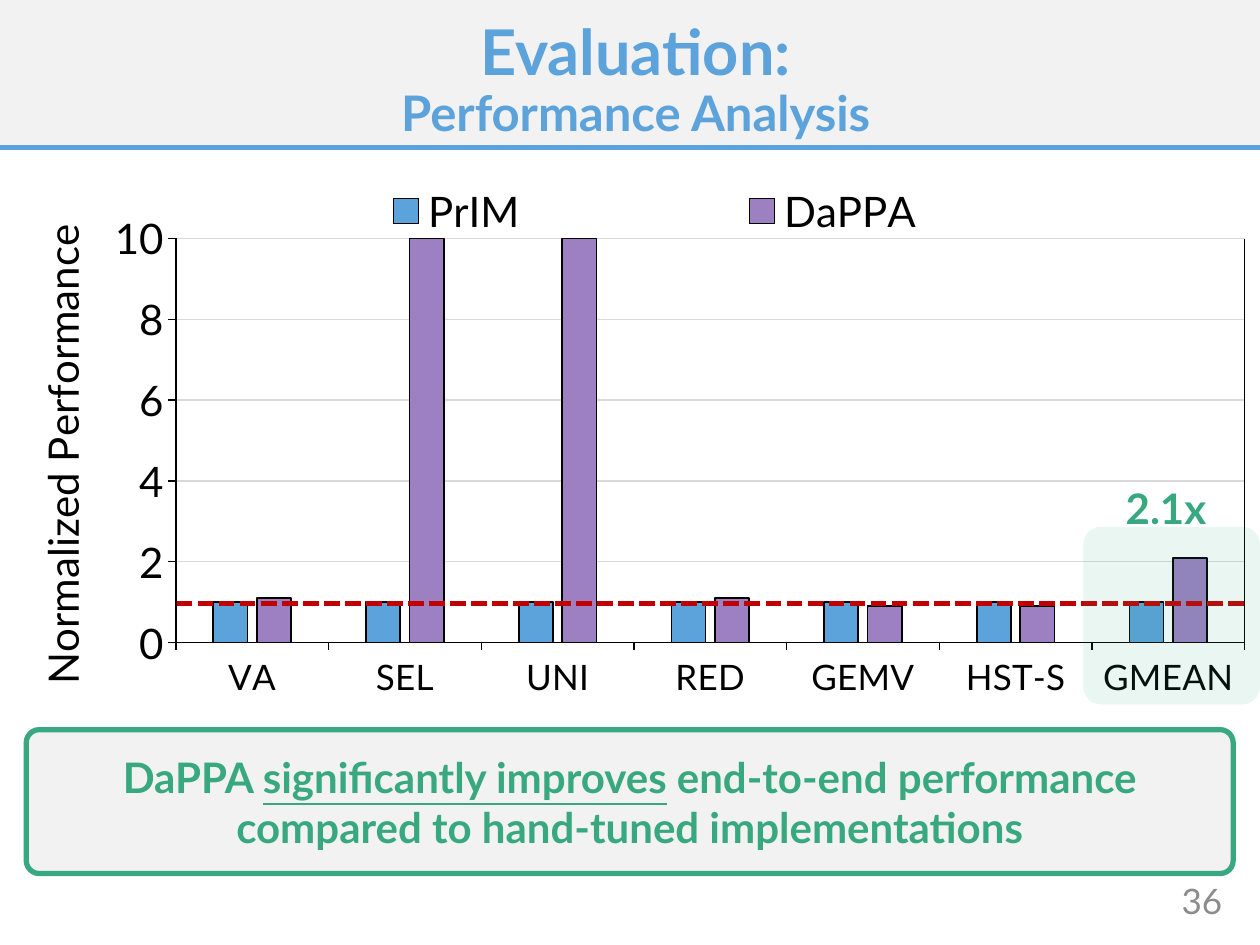
from pptx import Presentation
from pptx import util as u
from pptx.chart.data import CategoryChartData
from pptx.dml.color import RGBColor
from pptx.enum import chart as charts, dml, shapes, text
from pptx.oxml import parse_xml
from pptx.oxml.ns import nsdecls, qn
from lxml import etree

FONT = "Lato"
BLUE, PURPLE, GREEN, RED = "5CA2DB", "9C80C1", "38A881", "C00000"
BLACK, PALE, GRID, GRAY = "000000", "F2F2F2", "D9D9D9", "8C8C8C"
CATEGORIES = ["VA", "SEL", "UNI", "RED", "GEMV", "HST-S", "GMEAN"]
SERIES = [
    ("PrIM", [1] * 7, BLUE),
    ("DaPPA", [1.1, 10, 10, 1.1, 0.9, 0.9, 2.1], PURPLE),
]


def color(value):
    return RGBColor.from_string(value)


def box(*lengths):
    return [u.Cm(length) for length in lengths]


def set_font(font, size, value, bold=False):
    font.name, font.size, font.bold = FONT, u.Pt(size), bold
    font.color.rgb = color(value)


def set_line(line, value, width):
    line.color.rgb = color(value)
    line.width = u.Pt(width)


def add_run(paragraph, words, size, value, bold=True, underline=None):
    run = paragraph.add_run()
    run.text = words
    set_font(run.font, size, value, bold)
    run.font.underline = underline


def add_block(slide, preset, place, fill, corner=None, alpha=None):
    """Add a filled shape without outline; alpha is opacity in percent."""
    shape = slide.shapes.add_shape(preset, *box(*place))
    shape.shadow.inherit = False
    shape.fill.solid()
    shape.fill.fore_color.rgb = color(fill)
    shape.line.fill.background()
    if corner is not None:
        shape.adjustments[0] = corner
    if alpha is not None:
        rgb = shape.fill._xPr.find(".//" + qn("a:srgbClr"))
        etree.SubElement(rgb, qn("a:alpha")).set("val", str(alpha * 1000))
    return shape


def add_rule(slide, ends, value, width, dash=None):
    rule = slide.shapes.add_connector(shapes.MSO_CONNECTOR.STRAIGHT, *box(*ends))
    set_line(rule.line, value, width)
    if dash is not None:
        rule.line.dash_style = dash
    etree.SubElement(rule._element.spPr, qn("a:effectLst"))


def add_label(slide, place, words, size, value, align, bold):
    frame = slide.shapes.add_textbox(*box(*place)).text_frame
    frame.word_wrap = True
    frame.vertical_anchor = text.MSO_ANCHOR.MIDDLE
    paragraph = frame.paragraphs[0]
    paragraph.alignment = align
    add_run(paragraph, words, size, value, bold)


def set_title(slide):
    title = slide.shapes.title
    title.left, title.top, title.width, title.height = box(0.46, 0.36, 24.71, 2.57)
    slide.shapes._spTree.append(title._element)
    frame = title.text_frame
    frame.vertical_anchor = text.MSO_ANCHOR.MIDDLE
    frame.auto_size = text.MSO_AUTO_SIZE.NONE
    paragraph = frame.paragraphs[0]
    paragraph.alignment = text.PP_ALIGN.CENTER
    paragraph.line_spacing = 0.9
    add_run(paragraph, "Evaluation:", 36, BLUE)
    paragraph.add_line_break()
    add_run(paragraph, "Performance Analysis", 28, BLUE)


def set_layout(element, index, inner=False, **fractions):
    """Place a chart part by fractions of the chart's size."""
    for old in element.findall(qn("c:layout")):
        element.remove(old)
    target = '<c:layoutTarget val="inner"/>' if inner else ""
    modes = "".join(f'<c:{key}Mode val="edge"/>' for key in "xy")
    values = "".join(f'<c:{key} val="{part}"/>' for key, part in fractions.items())
    element.insert(index, parse_xml(
        f'<c:layout {nsdecls("c")}><c:manualLayout>{target}{modes}{values}'
        "</c:manualLayout></c:layout>"))


def format_axes(chart):
    category, value = chart.category_axis, chart.value_axis
    for axis, size in ((category, 20), (value, 24)):
        set_font(axis.tick_labels.font, size, BLACK)
        set_line(axis.format.line, BLACK, 0.75)
        axis.major_tick_mark = charts.XL_TICK_MARK.OUTSIDE
    value.minimum_scale, value.maximum_scale, value.major_unit = 0, 10, 2
    set_line(value.major_gridlines.format.line, GRID, 0.75)
    title = value.axis_title
    frame = title.text_frame
    add_run(frame.paragraphs[0], "Normalized Performance", 24, BLACK, False)
    properties = frame._txBody.find(qn("a:bodyPr"))
    properties.set("rot", "-5400000")
    properties.set("vert", "horz")
    set_layout(title._element, 1, x=0.03, y=0.09)


def add_performance_chart(slide):
    data = CategoryChartData(number_format="General")
    data.categories = CATEGORIES
    for name, values, _ in SERIES:
        data.add_series(name, values)
    chart = slide.shapes.add_chart(
        charts.XL_CHART_TYPE.COLUMN_CLUSTERED, *box(-0.28, 3.23, 25.68, 12.73), data).chart
    set_font(chart.font, 28, BLACK)
    chart.has_title = False
    plot = chart.plots[0]
    plot.gap_width, plot.overlap, plot.vary_by_categories = 219, -27, False
    for series, (_, _, fill) in zip(plot.series, SERIES):
        series.format.fill.solid()
        series.format.fill.fore_color.rgb = color(fill)
        set_line(series.format.line, BLACK, 1)
    format_axes(chart)
    chart.has_legend = True
    legend = chart.legend
    legend.position = charts.XL_LEGEND_POSITION.BOTTOM
    legend.include_in_layout = False
    set_font(legend.font, 24, BLACK)
    set_layout(legend._element, 1, x=0.15, y=0.04, w=0.75, h=0.08)
    plot_area = chart._chartSpace.find(".//" + qn("c:plotArea"))
    set_layout(plot_area, 0, inner=True, x=0.149, y=0.124, w=0.839, h=0.64)


def add_takeaway(slide):
    shape = add_block(slide, shapes.MSO_SHAPE.ROUNDED_RECTANGLE,
                      (0.53, 14.71, 24.33, 2.9), PALE, corner=0.09)
    set_line(shape.line, GREEN, 3)
    frame = shape.text_frame
    frame.word_wrap = True
    frame.vertical_anchor = text.MSO_ANCHOR.MIDDLE
    first, second = frame.paragraphs[0], frame.add_paragraph()
    first.alignment = second.alignment = text.PP_ALIGN.CENTER
    add_run(first, "DaPPA ", 24, GREEN)
    add_run(first, "significantly improves", 24, GREEN, underline=True)
    add_run(first, " end-to-end performance", 24, GREEN)
    add_run(second, "compared to hand-tuned implementations", 24, GREEN)


def main():
    presentation = Presentation()
    presentation.slide_width, presentation.slide_height = box(25.4, 19.05)
    slide = presentation.slides.add_slide(presentation.slide_layouts[5])
    add_block(slide, shapes.MSO_SHAPE.RECTANGLE, (0, 0, 25.4, 2.97), PALE)
    add_label(slide, (22.15, 17.65, 2.74, 1.02), "36", 20, GRAY,
              text.PP_ALIGN.RIGHT, False)
    add_rule(slide, (0, 2.97, 25.4, 2.97), BLUE, 3)
    set_title(slide)
    add_performance_chart(slide)
    add_rule(slide, (25.09, 4.82, 25.09, 12.94), BLACK, 0.75)
    add_rule(slide, (3.56, 12.17, 25.17, 12.17), RED, 3, dml.MSO_LINE.SQUARE_DOT)
    add_block(slide, shapes.MSO_SHAPE.ROUNDED_RECTANGLE,
              (21.84, 10.62, 3.56, 3.58), GREEN, corner=0.1, alpha=10)
    add_label(slide, (21.84, 9.6, 3.33, 1.27), "2.1x", 24, GREEN,
              text.PP_ALIGN.CENTER, True)
    add_takeaway(slide)
    presentation.save("out.pptx")


if __name__ == "__main__":
    main()
